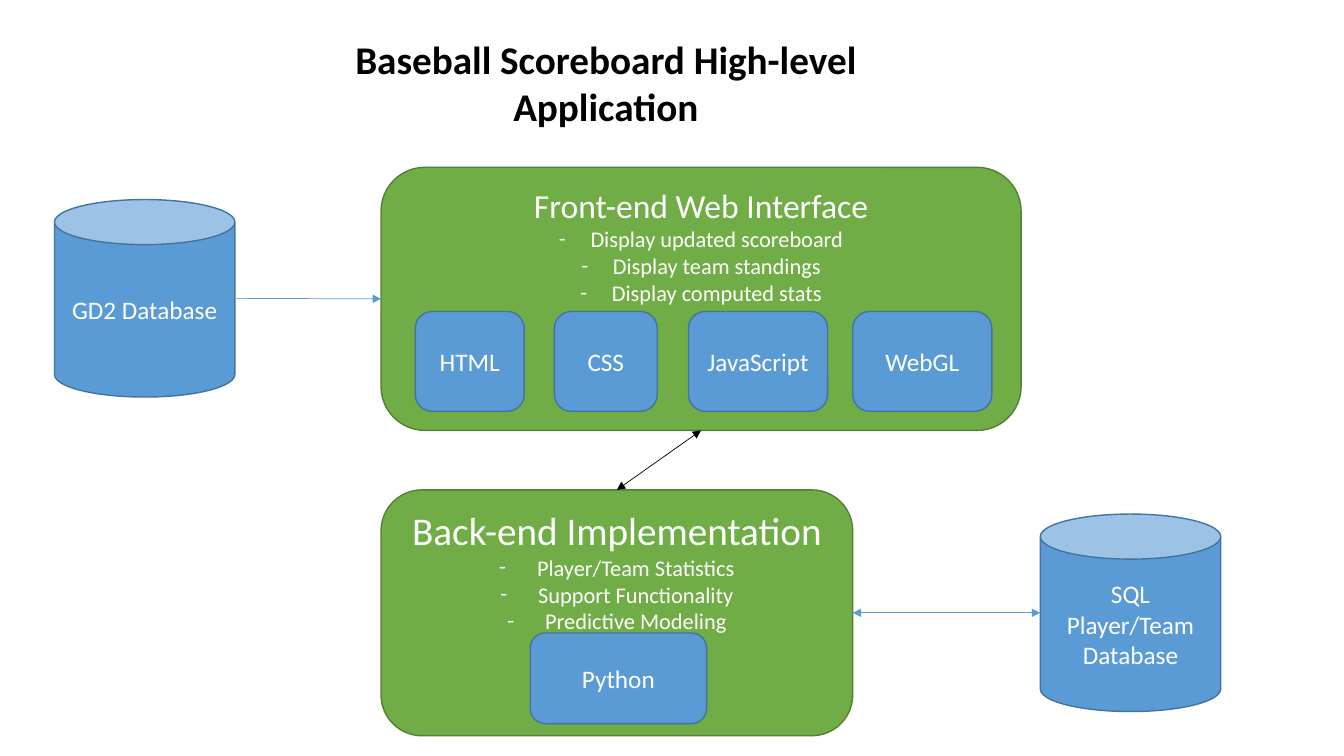
from dataclasses import dataclass

from lxml import etree
from pptx import Presentation
from pptx.dml.color import RGBColor
from pptx.enum.shapes import MSO_CONNECTOR, MSO_SHAPE
from pptx.enum.text import MSO_ANCHOR, MSO_AUTO_SIZE, PP_ALIGN
from pptx.oxml.ns import qn
from pptx.shapes.autoshape import Shape
from pptx.slide import Slide
from pptx.text.text import TextFrame, _Paragraph
from pptx.util import Inches, Pt

ROUNDED = MSO_SHAPE.ROUNDED_RECTANGLE
CAN = MSO_SHAPE.CAN
STRAIGHT = MSO_CONNECTOR.STRAIGHT
TOP, MIDDLE = MSO_ANCHOR.TOP, MSO_ANCHOR.MIDDLE
CENTER = PP_ALIGN.CENTER
GROW = MSO_AUTO_SIZE.SHAPE_TO_FIT_TEXT
SIDE_TOP, SIDE_LEFT, SIDE_BOTTOM, SIDE_RIGHT = range(4)
BLANK_LAYOUT = 6

# The grid has square cells, ten to the inch.
CELL = Inches(0.1)
COLUMNS, ROWS = 133.33, 75


@dataclass(frozen=True)
class Theme:
    font: str = "Calibri"
    blue: str = "5B9BD5"
    blue_edge: str = "43739E"
    green: str = "70AD47"
    green_edge: str = "538035"
    black: str = "000000"
    white: str = "FFFFFF"
    title_size: float = 28
    label_size: float = 18
    bullet_size: float = 16
    edge_width: float = 1
    arrow_width: float = 0.5


@dataclass(frozen=True)
class Area:
    column: float
    row: float
    columns: float
    rows: float


@dataclass(frozen=True)
class Panel:
    area: Area
    heading: str
    heading_size: float
    indent: float
    bullets: tuple[str, ...]


@dataclass(frozen=True)
class Block:
    label: str
    area: Area


@dataclass(frozen=True)
class Arrow:
    start: str
    start_side: int
    end: str
    end_side: int
    color: str
    both_ways: bool = True


THEME = Theme()
TITLE = Block("Baseball Scoreboard High-level Application", Area(30.3, 3, 59.6, 10.4))
BACK_END = Panel(
    Area(37.8, 48.6, 46.8, 24.4), "Back-end Implementation", 28, 3.75,
    ("Player/Team Statistics", "Support Functionality", "Predictive Modeling"),
)
FRONT_END = Panel(
    Area(37.8, 16.6, 63.5, 26.1), "Front-end Web Interface", 24, 3.13,
    ("Display updated scoreboard", "Display team standings", "Display computed stats"),
)
DATABASES = (
    Block("GD2 Database", Area(5.4, 19.8, 17.9, 19.6)),
    Block("SQL Player/Team Database", Area(103.2, 51, 17.9, 19.6)),
)
WEB_ROW, WEB_ROWS = 30.9, 9.9
WEB_TOOLS = (
    ("HTML", 41.2, 10.8),
    ("CSS", 55, 10.2),
    ("JavaScript", 68.3, 13.8),
    ("WebGL", 84.6, 13.8),
)
TOOLS = (
    *(Block(label, Area(column, WEB_ROW, columns, WEB_ROWS))
      for label, column, columns in WEB_TOOLS),
    Block("Python", Area(52.6, 62.8, 17.5, 9)),
)
ARROWS = (
    Arrow(FRONT_END.heading, SIDE_BOTTOM, BACK_END.heading, SIDE_TOP, THEME.black),
    Arrow(BACK_END.heading, SIDE_RIGHT, DATABASES[1].label, SIDE_LEFT, THEME.blue),
    Arrow(DATABASES[0].label, SIDE_RIGHT, FRONT_END.heading, SIDE_LEFT,
          THEME.blue, both_ways=False),
)


def cells(count: float) -> int:
    return round(count * CELL)


def place(area: Area) -> tuple[int, int, int, int]:
    return cells(area.column), cells(area.row), cells(area.columns), cells(area.rows)


def add_span(para: _Paragraph, text: str, size: float, color: str, bold: bool = False) -> None:
    para.alignment = CENTER
    span = para.add_run()
    span.text = text
    span.font.name = THEME.font
    span.font.size = Pt(size)
    span.font.bold = bold
    span.font.color.rgb = RGBColor.from_string(color)


def add_dash(para: _Paragraph, indent: float) -> None:
    """Give the paragraph a hanging dash bullet."""
    properties = para._p.get_or_add_pPr()
    properties.set("marL", str(cells(indent)))
    properties.set("indent", str(-cells(indent)))
    etree.SubElement(properties, qn("a:buFont"), typeface=THEME.font)
    etree.SubElement(properties, qn("a:buChar"), char="-")


def add_box(page: Slide, kind: MSO_SHAPE, area: Area, fill: str, edge: str) -> Shape:
    box = page.shapes.add_shape(kind, *place(area))
    box.shadow.inherit = False
    box.fill.solid()
    box.fill.fore_color.rgb = RGBColor.from_string(fill)
    box.line.color.rgb = RGBColor.from_string(edge)
    box.line.width = Pt(THEME.edge_width)
    return box


def add_panel(page: Slide, panel: Panel) -> Shape:
    box = add_box(page, ROUNDED, panel.area, THEME.green, THEME.green_edge)
    frame: TextFrame = box.text_frame
    frame.vertical_anchor = TOP
    add_span(frame.paragraphs[0], panel.heading, panel.heading_size, THEME.white)
    for bullet in panel.bullets:
        para = frame.add_paragraph()
        add_dash(para, panel.indent)
        add_span(para, bullet, THEME.bullet_size, THEME.white)
    return box


def add_block(page: Slide, block: Block, kind: MSO_SHAPE) -> Shape:
    box = add_box(page, kind, block.area, THEME.blue, THEME.blue_edge)
    box.text_frame.vertical_anchor = MIDDLE
    add_span(box.text_frame.paragraphs[0], block.label, THEME.label_size, THEME.white)
    return box


def add_title(page: Slide) -> None:
    box = page.shapes.add_textbox(*place(TITLE.area))
    box.text_frame.word_wrap = True
    box.text_frame.auto_size = GROW
    add_span(box.text_frame.paragraphs[0], TITLE.label, THEME.title_size, THEME.black, bold=True)


def side_middle(box: Shape, side: int) -> tuple[int, int]:
    across, down = {
        SIDE_TOP: (0.5, 0), SIDE_LEFT: (0, 0.5),
        SIDE_BOTTOM: (0.5, 1), SIDE_RIGHT: (1, 0.5),
    }[side]
    return round(box.left + across * box.width), round(box.top + down * box.height)


def add_arrow(page: Slide, arrow: Arrow, boxes: dict[str, Shape]) -> None:
    """Draw the arrow, joining it to panels; cans number their sides differently."""
    start, end = boxes[arrow.start], boxes[arrow.end]
    link = page.shapes.add_connector(
        STRAIGHT, *side_middle(start, arrow.start_side), *side_middle(end, arrow.end_side))
    if start.auto_shape_type == ROUNDED:
        link.begin_connect(start, arrow.start_side)
    if end.auto_shape_type == ROUNDED:
        link.end_connect(end, arrow.end_side)
    link.line.color.rgb = RGBColor.from_string(arrow.color)
    link.line.width = Pt(THEME.arrow_width)
    properties = link.element.spPr
    line = properties.find(qn("a:ln"))
    if arrow.both_ways:
        etree.SubElement(line, qn("a:headEnd"), type="triangle")
    etree.SubElement(line, qn("a:tailEnd"), type="triangle")
    etree.SubElement(properties, qn("a:effectLst"))


def main() -> None:
    deck = Presentation()
    deck.slide_width, deck.slide_height = cells(COLUMNS), cells(ROWS)
    page = deck.slides.add_slide(deck.slide_layouts[BLANK_LAYOUT])
    add_title(page)
    boxes = {panel.heading: add_panel(page, panel) for panel in (BACK_END, FRONT_END)}
    boxes |= {database.label: add_block(page, database, CAN) for database in DATABASES}
    for tool in TOOLS:
        add_block(page, tool, ROUNDED)
    for arrow in ARROWS:
        add_arrow(page, arrow, boxes)
    deck.save("out.pptx")


if __name__ == "__main__":
    main()
